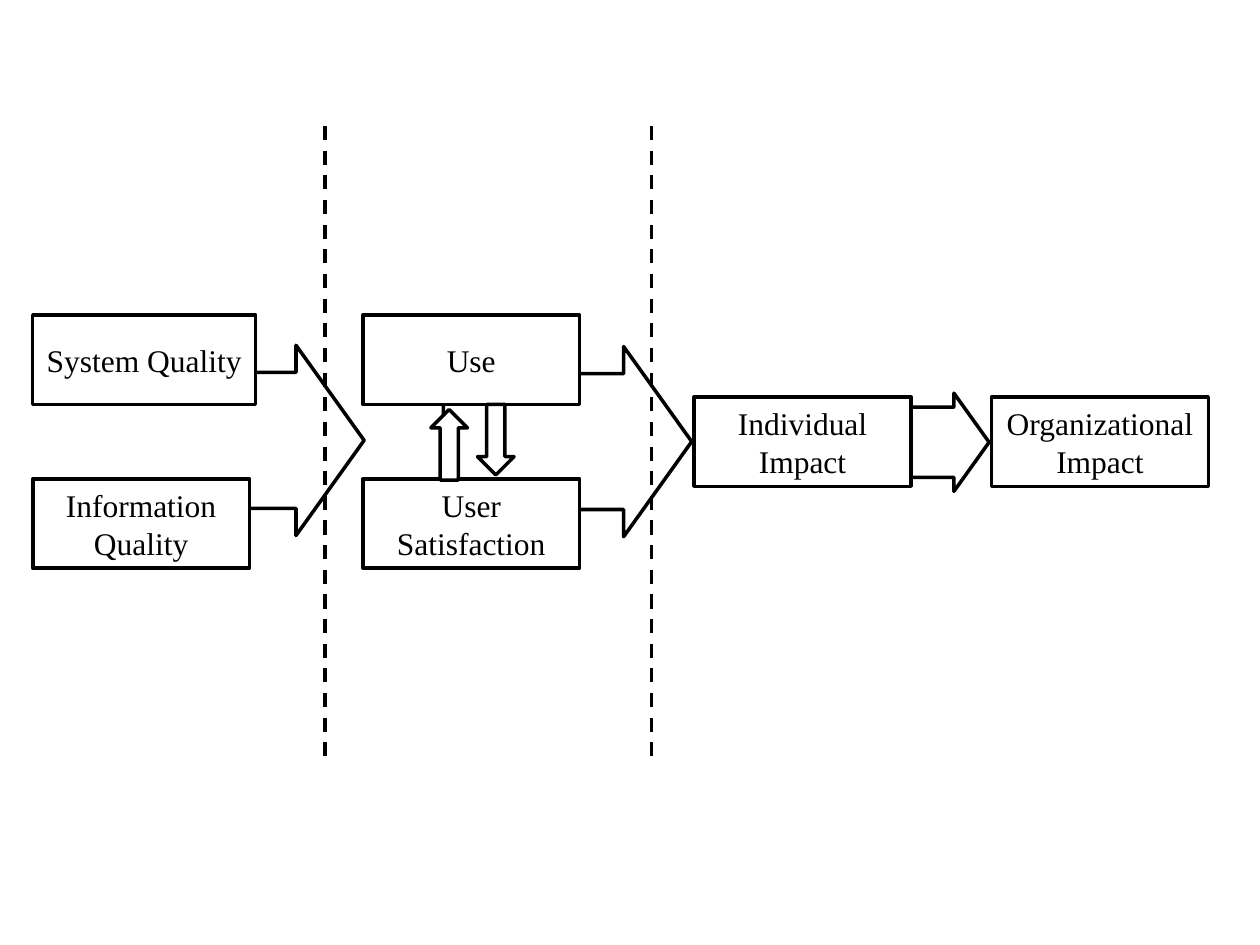
"""Build a slide showing how quality, use and satisfaction lead to impact."""
from lxml import etree
from pptx import Presentation
from pptx.dml.color import RGBColor
from pptx.enum.dml import MSO_LINE
from pptx.enum.shapes import MSO_CONNECTOR, MSO_SHAPE
from pptx.enum.text import MSO_ANCHOR, MSO_AUTO_SIZE, PP_ALIGN
from pptx.oxml.ns import qn
from pptx.util import Inches, Pt

RECTANGLE = MSO_SHAPE.RECTANGLE
RIGHT_ARROW = MSO_SHAPE.RIGHT_ARROW
DOWN_ARROW = MSO_SHAPE.DOWN_ARROW
STRAIGHT = MSO_CONNECTOR.STRAIGHT
DASH = MSO_LINE.DASH
MIDDLE = MSO_ANCHOR.MIDDLE
FIT_SHAPE = MSO_AUTO_SIZE.SHAPE_TO_FIT_TEXT
CENTER = PP_ALIGN.CENTER
BLACK = "000000"
WHITE = "FFFFFF"
BOX_WIDTH, BOX_HEIGHT = 1.72, 0.71
TOP_ROW, MIDDLE_ROW, BOTTOM_ROW = 2.5, 3.15, 3.8

presentation = Presentation()
presentation.slide_width = Inches(10)
presentation.slide_height = Inches(7.5)
slide = presentation.slides.add_slide(presentation.slide_layouts[6])


def color(value):
    return RGBColor.from_string(value)


def add_shape(text, *, kind, left, top, width, height, fill=WHITE, line=BLACK, wrap=True):
    shape = slide.shapes.add_shape(
        kind, Inches(left), Inches(top), Inches(width), Inches(height))
    shape.shadow.inherit = False
    if fill:
        shape.fill.solid()
        shape.fill.fore_color.rgb = color(fill)
    else:
        shape.fill.background()
    if line:
        shape.line.color.rgb = color(line)
        shape.line.width = Pt(2)
    else:
        shape.line.fill.background()
    if text:
        frame = shape.text_frame
        frame.word_wrap = wrap
        frame.auto_size = FIT_SHAPE
        frame.vertical_anchor = MIDDLE
        paragraph = frame.paragraphs[0]
        paragraph.alignment = CENTER
        run = paragraph.add_run()
        run.text = text
        run.font.name = "Times New Roman"
        run.font.size = Pt(18)
        run.font.color.rgb = color(BLACK)
    return shape


for left, top, width, height in [
    (3.52, 2.75, 1.97, 1.51),
    (0.92, 2.74, 1.97, 1.51),
    (6.83, 3.12, 1.02, 0.78),
]:
    arrow = add_shape("", kind=RIGHT_ARROW, left=left, top=top,
                      width=width, height=height, fill=None)
    arrow.adjustments[0] = 0.714
    arrow.adjustments[1] = 0.358

add_shape("", kind=RECTANGLE, left=0.83, top=3.12, width=0.17, height=0.78, line=None)

add_shape("System Quality", kind=RECTANGLE, left=0.26, top=TOP_ROW,
          width=1.77, height=BOX_HEIGHT, wrap=False)
for text, left, top in [
    ("Information Quality", 0.26, BOTTOM_ROW),
    ("Use", 2.88, TOP_ROW),
    ("User Satisfaction", 2.88, BOTTOM_ROW),
    ("Individual Impact", 5.51, MIDDLE_ROW),
    ("Organizational Impact", 7.87, MIDDLE_ROW),
]:
    add_shape(text, kind=RECTANGLE, left=left, top=top,
              width=BOX_WIDTH, height=BOX_HEIGHT)

for left, top, rotation in [(3.79, 3.21, 0), (3.42, 3.25, 180)]:
    arrow = add_shape("", kind=DOWN_ARROW, left=left, top=top, width=0.29, height=0.56)
    arrow.rotation = rotation

for x in (2.58, 5.17):
    divider = slide.shapes.add_connector(
        STRAIGHT, Inches(x), Inches(1), Inches(x), Inches(6.08))
    divider.line.color.rgb = color(BLACK)
    divider.line.width = Pt(2)
    divider.line.dash_style = DASH
    etree.SubElement(divider.element.spPr, qn("a:effectLst"))

presentation.save("out.pptx")
